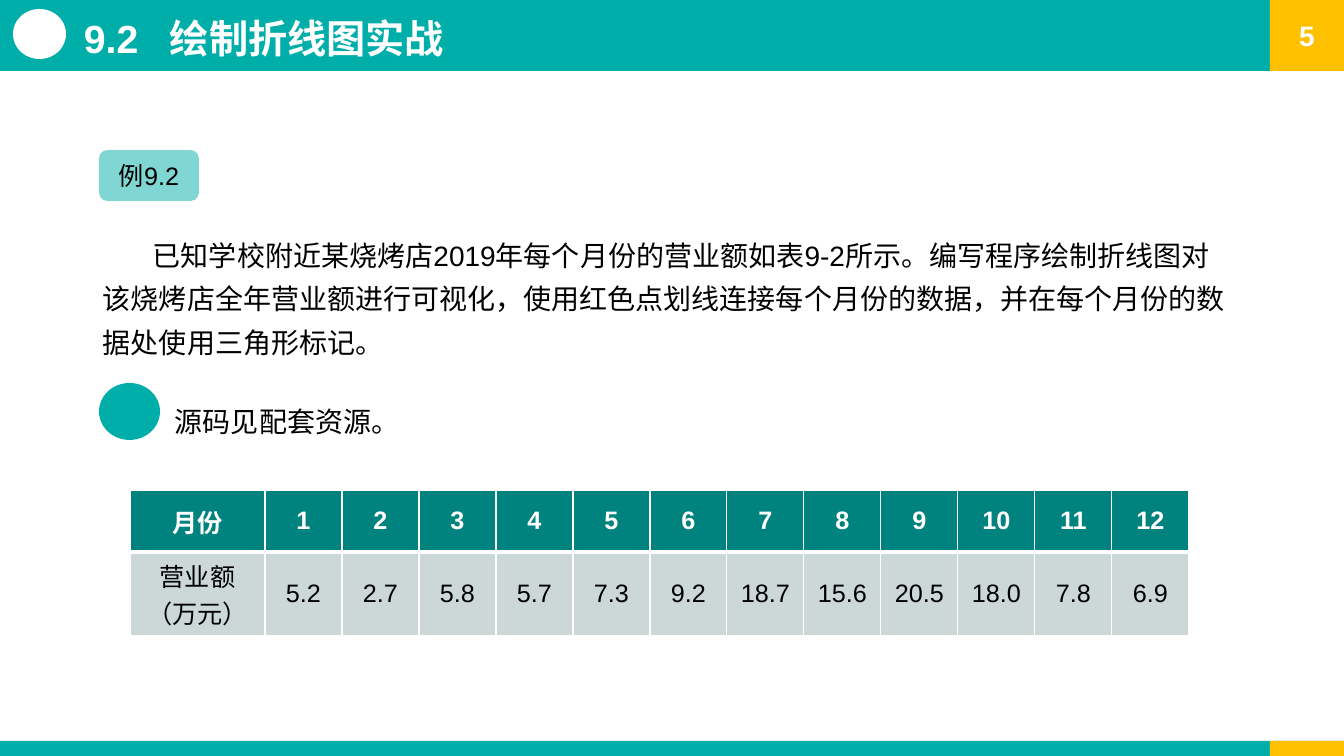
from lxml.etree import SubElement
from pptx import Presentation
from pptx.dml.color import RGBColor
from pptx.enum.shapes import MSO_SHAPE
from pptx.enum.text import MSO_ANCHOR, PP_ALIGN
from pptx.oxml.ns import qn
from pptx.util import Pt

TITLE = "9.2\t绘制折线图实战"
PAGE = "5"
LABEL = "例9.2"
TASK = ("已知学校附近某烧烤店2019年每个月份的营业额如表9-2所示。编写程序绘制折线图"
        "对该烧烤店全年营业额进行可视化，使用红色点划线连接每个月份的数据，"
        "并在每个月份的数据处使用三角形标记。")
HINT = "源码见配套资源。"
MONTHS = ["月份"] + [str(month) for month in range(1, 13)]
SALES = ["营业额（万元）", "5.2", "2.7", "5.8", "5.7", "7.3", "9.2",
         "18.7", "15.6", "20.5", "18.0", "7.8", "6.9"]

TEAL = RGBColor(0x00, 0xAE, 0xA9)
GOLD = RGBColor(0xFF, 0xC0, 0x00)
DARK = RGBColor(0x00, 0x82, 0x7E)
PALE = RGBColor(0xCC, 0xD8, 0xD8)
WHITE = RGBColor(0xFF, 0xFF, 0xFF)
BLACK = RGBColor(0x00, 0x00, 0x00)
LATIN, HAN = "Arial", "Noto Sans CJK SC"

WIDE, HIGH = 1344, 756
SPLIT = 1270
BARS = [(HIGH - 15, 15), (0, 71)]
HEAD_W, MONTH_W = 135, 77
ROWS = [62, 84]


def px(*sizes):
    """Turn px into EMU at 100.8 px to the inch."""
    return [round(size * 914400 / 100.8) for size in sizes]


def write(frame, text, size=20, color=BLACK, bold=False, font=LATIN,
          align=PP_ALIGN.LEFT, space=None, after=None, indent=0, tab=0):
    frame.word_wrap = True
    para = frame.paragraphs[0]
    para.alignment = align
    if space:
        para.line_spacing = space
    if after:
        para.space_after = Pt(after)
    props = para._p.get_or_add_pPr()
    if indent:
        props.set("marL", "0")
        props.set("indent", str(px(indent)[0]))
    if tab:
        stops = SubElement(props, qn("a:tabLst"))
        SubElement(stops, qn("a:tab"), pos=str(px(tab)[0]), algn="l")
    run = para.add_run()
    run.text = text
    run.font.size = Pt(size)
    run.font.bold = bold
    run.font.color.rgb = color
    run.font.name = font
    SubElement(run._r.get_or_add_rPr(), qn("a:ea"), typeface=HAN)


def add_box(slide, kind, box, fill, alpha=100):
    shape = slide.shapes.add_shape(kind, *px(*box))
    shape.shadow.inherit = False
    shape.fill.solid()
    shape.fill.fore_color.rgb = fill
    shape.line.fill.background()
    if alpha < 100:
        tint = shape.fill._xPr.find(".//" + qn("a:srgbClr"))
        SubElement(tint, qn("a:alpha"), val=str(alpha * 1000))
    shape.text_frame.vertical_anchor = MSO_ANCHOR.MIDDLE
    return shape


def add_note(slide, box, text, **style):
    write(slide.shapes.add_textbox(*px(*box)).text_frame, text, **style)


def paint(cell, fill, edges):
    """Draw white borders of the given widths, then fill the cell."""
    props = cell._tc.get_or_add_tcPr()
    for side, width in edges.items():
        line = SubElement(props, qn("a:ln" + side), w=str(Pt(width)))
        solid = SubElement(line, qn("a:solidFill"))
        SubElement(solid, qn("a:srgbClr"), val=str(WHITE))
    cell.fill.solid()
    cell.fill.fore_color.rgb = fill


def add_sales(slide):
    wide = HEAD_W + MONTH_W * (len(MONTHS) - 1)
    frame = slide.shapes.add_table(2, len(MONTHS), *px(130, 490, wide, sum(ROWS)))
    table = frame.table
    for row, high in zip(table.rows, px(*ROWS)):
        row.height = high
    for spot, col in enumerate(table.columns):
        col.width = px(MONTH_W if spot else HEAD_W)[0]
    looks = [
        (MONTHS, DARK, WHITE, True, {"L": 1, "R": 1, "T": 1, "B": 3}),
        (SALES, PALE, BLACK, False, {"L": 1, "R": 1, "T": 3, "B": 1}),
    ]
    for row, (texts, fill, color, bold, edges) in enumerate(looks):
        for col, text in enumerate(texts):
            cell = table.cell(row, col)
            cell.vertical_anchor = MSO_ANCHOR.MIDDLE
            paint(cell, fill, edges)
            write(cell.text_frame, text, size=18, color=color, bold=bold,
                  align=PP_ALIGN.CENTER)


def main():
    deck = Presentation()
    deck.slide_width, deck.slide_height = px(WIDE, HIGH)
    slide = deck.slides.add_slide(deck.slide_layouts[6])

    for top, high in BARS:
        add_box(slide, MSO_SHAPE.RECTANGLE, (0, top, WIDE, high), TEAL)
        corner = add_box(slide, MSO_SHAPE.RECTANGLE,
                         (SPLIT, top, WIDE - SPLIT, high), GOLD)
    write(corner.text_frame, PAGE, color=WHITE, bold=True, align=PP_ALIGN.CENTER)

    add_box(slide, MSO_SHAPE.OVAL, (13, 9, 53, 50), WHITE)
    add_note(slide, (74, 9, 774, 57), TITLE, size=28, color=WHITE, bold=True, tab=86)

    label = add_box(slide, MSO_SHAPE.ROUNDED_RECTANGLE, (99, 150, 100, 51), TEAL, alpha=50)
    write(label.text_frame, LABEL, size=18, align=PP_ALIGN.CENTER)
    add_note(slide, (93, 223, 1151, 138), TASK, space=1.3, indent=50)

    add_note(slide, (165, 383, 587, 55), HINT, font=HAN, align=PP_ALIGN.JUSTIFY,
             space=1.5, after=6)
    add_box(slide, MSO_SHAPE.OVAL, (99, 383, 61, 57), TEAL)
    add_sales(slide)
    deck.save("out.pptx")


if __name__ == "__main__":
    main()
